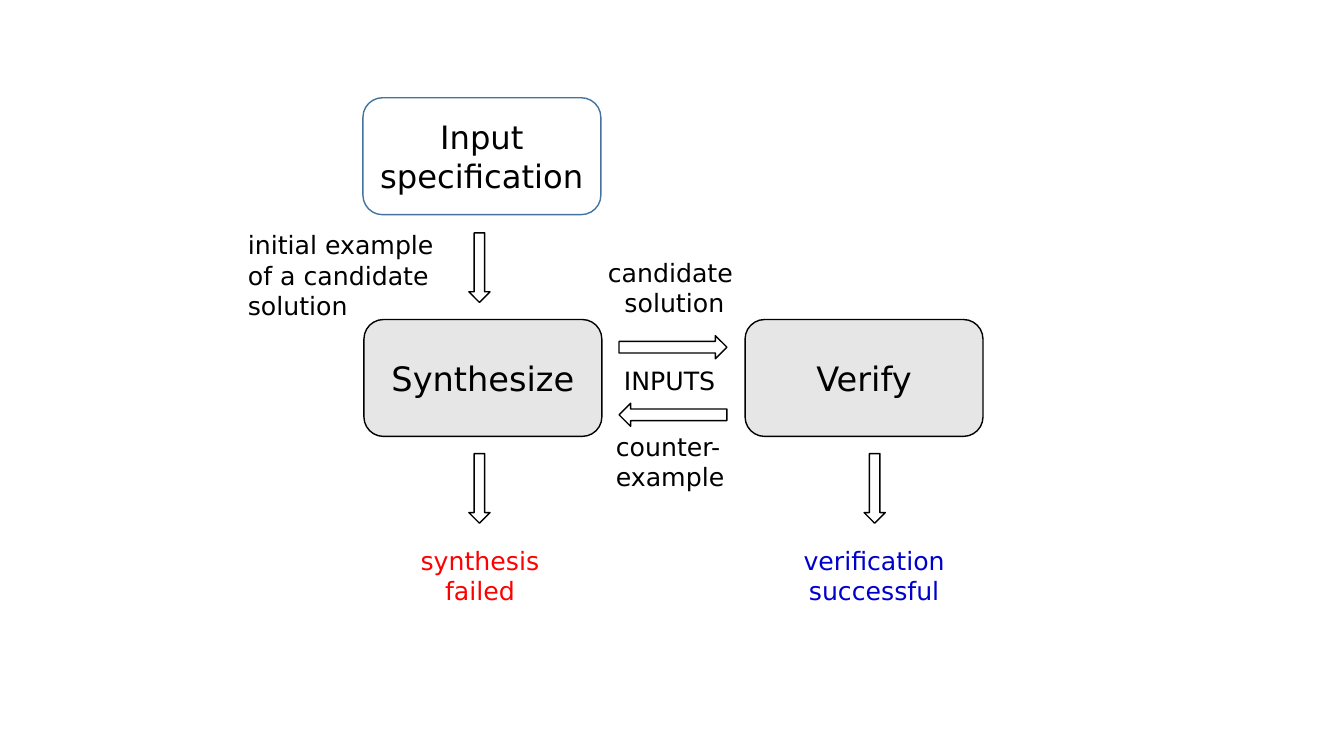
"""Build a slide showing the loop between synthesis and verification."""
from pptx import Presentation
from pptx.dml.color import RGBColor
from pptx.enum.shapes import MSO_SHAPE
from pptx.enum.text import MSO_ANCHOR, MSO_AUTO_SIZE, PP_ALIGN
from pptx.util import Inches, Pt

FONT = "DejaVu Sans"
BLACK = RGBColor(0x00, 0x00, 0x00)
WHITE = RGBColor(0xFF, 0xFF, 0xFF)
GREY = RGBColor(0xE7, 0xE6, 0xE6)
STEEL = RGBColor(0x43, 0x73, 0x9E)
BLUE = RGBColor(0x00, 0x00, 0xCC)
RED = RGBColor(0xFF, 0x00, 0x00)
LEFT, CENTER = PP_ALIGN.LEFT, PP_ALIGN.CENTER


def add_outlined(kind, left, top, width, height, fill, line):
    shape = page.shapes.add_shape(
        kind, Inches(left), Inches(top), Inches(width), Inches(height))
    shape.shadow.inherit = False
    shape.fill.solid()
    shape.fill.fore_color.rgb = fill
    shape.line.color.rgb = line
    shape.line.width = Pt(1)
    return shape


def write(para, text, size, color, align):
    para.alignment = align
    span = para.add_run()
    span.text = text
    span.font.name = FONT
    span.font.size = Pt(size)
    span.font.color.rgb = color


deck = Presentation()
deck.slide_width, deck.slide_height = Inches(13.33), Inches(7.5)
page = deck.slides.add_slide(deck.slide_layouts[6])

stages = [
    ("Input specification", 3.6, 0.97, 23, WHITE, STEEL),
    ("Synthesize", 3.61, 3.17, 24, GREY, BLACK),
    ("Verify", 7.39, 3.17, 24, GREY, BLACK),
]
for text, left, top, size, fill, line in stages:
    stage = add_outlined(
        MSO_SHAPE.ROUNDED_RECTANGLE, left, top, 2.36, 1.16, fill, line)
    frame = stage.text_frame
    frame.word_wrap = True
    frame.vertical_anchor = MSO_ANCHOR.MIDDLE
    write(frame.paragraphs[0], text, size, BLACK, CENTER)

for left, top in [(4.65, 2.31), (4.65, 4.5), (8.57, 4.5)]:
    add_outlined(MSO_SHAPE.DOWN_ARROW, left, top, 0.21, 0.69, WHITE, BLACK)

for top, rotation in [(3.33, 0), (4, 180)]:
    arrow = add_outlined(
        MSO_SHAPE.RIGHT_ARROW, 6.14, top, 1.07, 0.23, WHITE, BLACK)
    arrow.rotation = rotation

labels = [
    (2.36, 2.23, 3.19, 1.01, True, BLACK,
     [("initial example ", LEFT), ("of a candidate ", LEFT), ("solution", LEFT)]),
    (5.93, 2.5, 1.52, 0.71, False, BLACK,
     [("candidate ", LEFT), ("solution", CENTER)]),
    (6.01, 4.23, 1.39, 0.71, True, BLACK,
     [("counter-", LEFT), ("example", LEFT)]),
    (7.65, 5.36, 2.04, 0.71, True, BLUE, [("verification successful", CENTER)]),
    (3.74, 5.36, 2.04, 0.71, True, RED, [("synthesis failed", CENTER)]),
    (6.09, 3.58, 1.16, 0.4, False, BLACK, [("INPUTS", LEFT)]),
]
for left, top, width, height, wrap, color, lines in labels:
    box = page.shapes.add_textbox(
        Inches(left), Inches(top), Inches(width), Inches(height))
    frame = box.text_frame
    frame.word_wrap = wrap
    frame.auto_size = MSO_AUTO_SIZE.SHAPE_TO_FIT_TEXT
    for index, (text, align) in enumerate(lines):
        para = frame.add_paragraph() if index else frame.paragraphs[0]
        write(para, text, 18, color, align)

deck.save("out.pptx")
